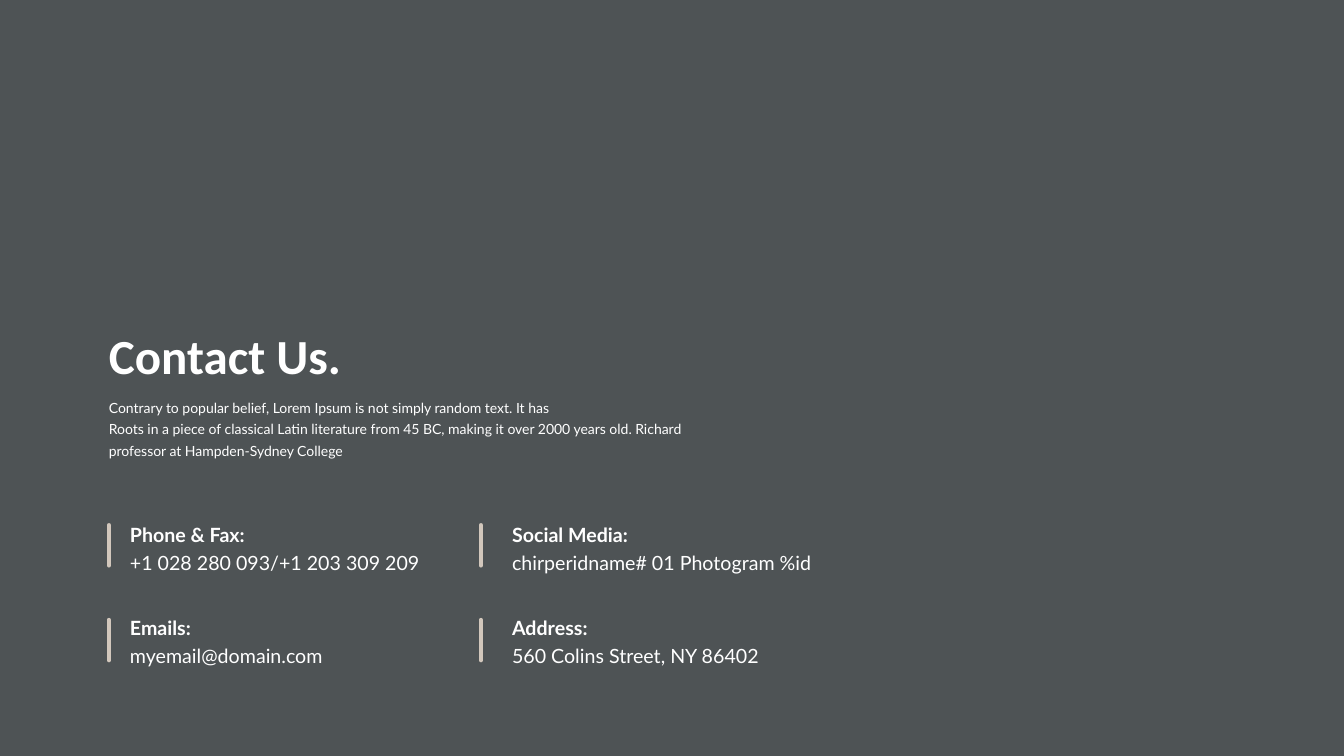
"""Build the contact slide."""
import lxml.etree
import pptx
import pptx.dml.color
import pptx.enum.shapes
import pptx.enum.text
import pptx.oxml.ns
import pptx.util

Inches = pptx.util.Inches
Pt = pptx.util.Pt

SLIDE_SIZE = (13.33, 7.5)
WHITE, OVERLAY, ACCENT = "FFFFFF", "303538", "D2C7BC"
OVERLAY_ALPHA = "85000"
TITLE = "Contact Us."
DESCRIPTION = [
    "Contrary to popular belief, Lorem Ipsum is not simply random text. It has",
    "Roots in a piece of classical Latin literature from 45 BC, making it over 2000 years old. "
    "Richard professor at Hampden-Sydney College",
]
CONTACTS = [
    [("Phone & Fax:", "+1 028 280 093/+1 203 309 209"),
     ("Social Media:", "chirperidname# 01 Photogram %id")],
    [("Emails:", "myemail@domain.com"),
     ("Address:", "560 Colins Street, NY 86402")],
]
COLUMNS = [(1.08, 1.19), (4.77, 4.98)]
ROWS = [(5.21, 5.09), (6.15, 6.02)]
BAR_LENGTH = 0.4
CONTACT_SIZE = (3.22, 0.64)


def color(value):
    return pptx.dml.color.RGBColor.from_string(value)


def write(frame, lines, font_name, size, spacing, bold_first=False):
    frame.word_wrap = True
    frame.vertical_anchor = pptx.enum.text.MSO_ANCHOR.TOP
    frame.text = "\n".join(lines)
    for index, paragraph in enumerate(frame.paragraphs):
        paragraph.alignment = pptx.enum.text.PP_ALIGN.LEFT
        paragraph.line_spacing = spacing
        for run in paragraph.runs:
            run.font.name = font_name
            run.font.size = Pt(size)
            run.font.bold = bold_first and index == 0
            run.font.color.rgb = color(WHITE)


def add_overlay(slide):
    overlay = slide.shapes.add_shape(
        pptx.enum.shapes.MSO_SHAPE.RECTANGLE, 0, 0, *map(Inches, SLIDE_SIZE))
    overlay.shadow.inherit = False
    overlay.line.fill.background()
    overlay.fill.solid()
    overlay.fill.fore_color.rgb = color(OVERLAY)
    fill_color = overlay.element.find(".//" + pptx.oxml.ns.qn("a:srgbClr"))
    lxml.etree.SubElement(fill_color, pptx.oxml.ns.qn("a:alpha"), val=OVERLAY_ALPHA)
    slide.shapes.title.element.addprevious(overlay.element)


def add_bar(slide, left, top):
    bar = slide.shapes.add_connector(
        pptx.enum.shapes.MSO_CONNECTOR.STRAIGHT,
        Inches(left), Inches(top), Inches(left), Inches(top + BAR_LENGTH))
    bar.line.color.rgb = color(ACCENT)
    bar.line.width = Pt(3)
    properties = bar.element.spPr
    properties.find(pptx.oxml.ns.qn("a:ln")).set("cap", "rnd")
    lxml.etree.SubElement(properties, pptx.oxml.ns.qn("a:effectLst"))


def main():
    presentation = pptx.Presentation()
    presentation.slide_width, presentation.slide_height = map(Inches, SLIDE_SIZE)
    slide = presentation.slides.add_slide(presentation.slide_layouts[5])
    add_overlay(slide)

    title = slide.shapes.title
    title.left, title.top, title.width, title.height = map(Inches, (1.08, 3.18, 5.89, 0.69))
    write(title.text_frame, [TITLE], "Calibri", 35, 1.0, bold_first=True)
    description = slide.shapes.add_textbox(*map(Inches, (1.08, 3.86, 5.87, 0.74)))
    write(description.text_frame, DESCRIPTION, "Lato", 10, 1.3)
    for shape in (title, description):
        shape.text_frame.margin_left = shape.text_frame.margin_right = 0

    for (bar_top, text_top), contacts in zip(ROWS, CONTACTS):
        for (bar_left, text_left), contact in zip(COLUMNS, contacts):
            add_bar(slide, bar_left, bar_top)
            box = slide.shapes.add_textbox(
                Inches(text_left), Inches(text_top), *map(Inches, CONTACT_SIZE))
            write(box.text_frame, contact, "Lato", 14, Pt(20), bold_first=True)

    presentation.save("out.pptx")


if __name__ == "__main__":
    main()
